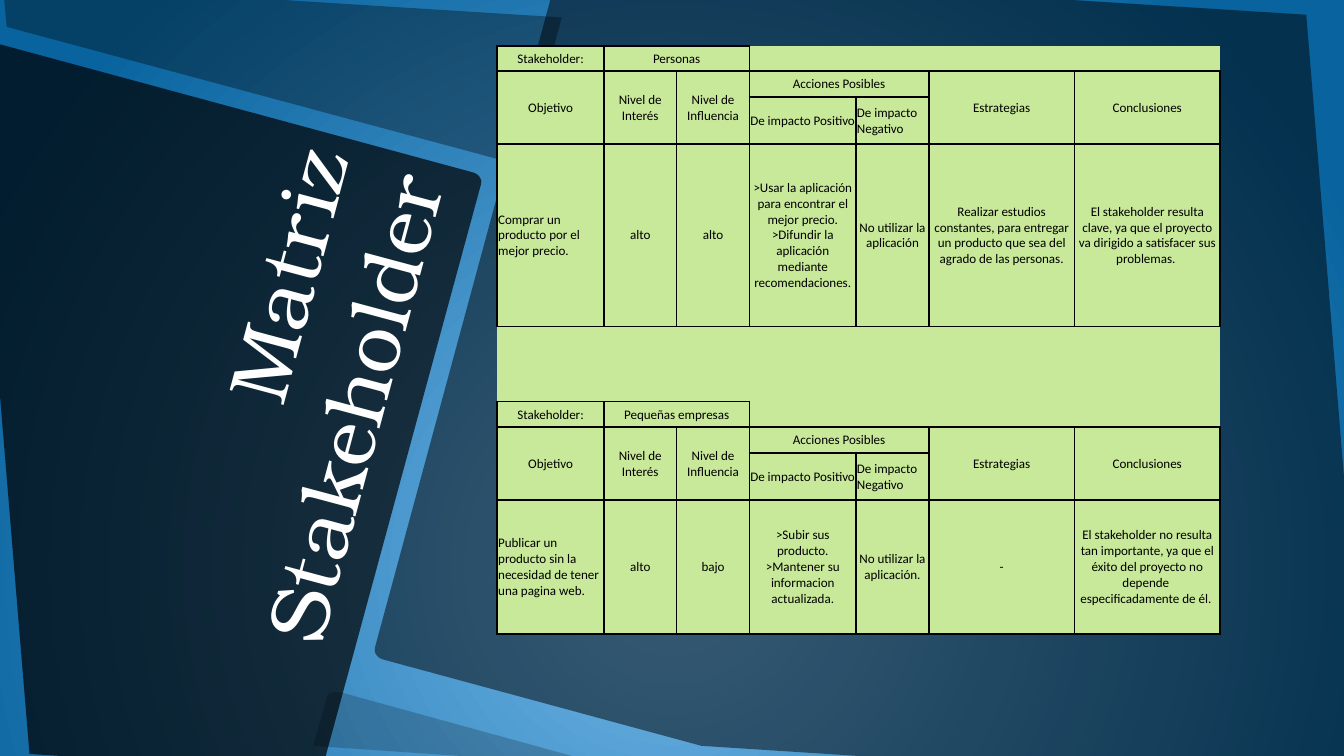
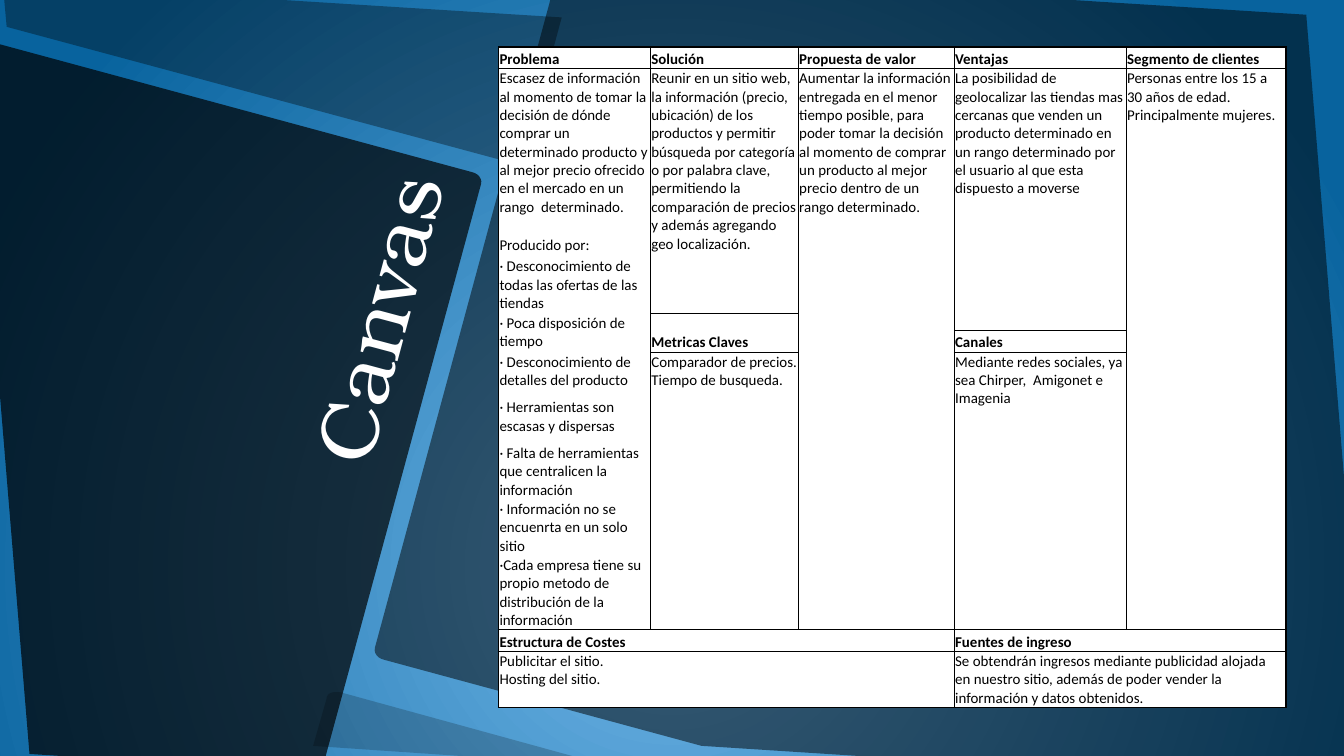
"""Build two slides, a stakeholder matrix and a lean canvas, over one shared layout."""
from typing import Any, NamedTuple

from lxml import etree
from pptx import Presentation
from pptx.dml.color import RGBColor
from pptx.enum import text
from pptx.oxml.ns import qn
from pptx.util import Inches, Pt

BLACK = RGBColor(0, 0, 0)
WHITE = RGBColor(255, 255, 255)
GREEN = RGBColor(0xC8, 0xE8, 0x9A)
SKY = RGBColor(0x70, 0xB6, 0xE8)
OCEAN = RGBColor(0x08, 0x63, 0x9E)
TITLE_FONT, TABLE_FONT = "TeX Gyre Bonum", "Calibri"
NO_STYLE = "{2D5ABB26-0587-4C30-8999-92F81FD0307C}"
LEFT, CENTER = text.PP_ALIGN.LEFT, text.PP_ALIGN.CENTER
TOP, MIDDLE, BOTTOM = text.MSO_ANCHOR.TOP, text.MSO_ANCHOR.MIDDLE, text.MSO_ANCHOR.BOTTOM


class Band(NamedTuple):
    opacity: int
    outline: list[tuple[float, ...]]


class Cell(NamedTuple):
    row: int
    col: int
    text: str
    rows: int = 1
    cols: int = 1
    align: Any = LEFT
    anchor: Any = TOP
    bold: bool = False
    sides: str = "LRTB"


class Grid(NamedTuple):
    left: float
    top: float
    width: float
    cols: list[float]
    rows: list[float]
    cells: list[Cell]
    fill: RGBColor
    size: float
    inner: float
    outer: float = 1


class Stakeholder(NamedTuple):
    name: str
    goal: str
    interest: str
    influence: str
    positive: str
    negative: str
    strategy: str
    conclusion: str


BANDS = [
    Band(70, [(-0.22, 0.27), (3.51, 1.28), (3.56, 1.29, 3.59, 1.33, 3.58, 1.37),
              (2.39, 5.75), (0.22, 5.61)]),
    Band(35, [(0.02, -0.13), (4.18, 0.13), (3.9, 1.17),
              (3.89, 1.2, 3.85, 1.22, 3.8, 1.21), (0.05, 0.2)]),
    Band(20, [(2.49, 5.15), (2.51, 5.15, 2.52, 5.15, 2.53, 5.15), (4.53, 5.7),
              (2.33, 5.55), (2.43, 5.2), (2.43, 5.17, 2.46, 5.15, 2.49, 5.15)]),
    Band(50, [(4.16, -0.24), (9.72, 0.11), (10.19, 5.87), (5.22, 5.55), (2.86, 4.91),
              (2.81, 4.9, 2.78, 4.86, 2.79, 4.82)]),
]

STAKEHOLDERS = [
    Stakeholder(
        "Personas", "Comprar un producto por el mejor precio.", "alto", "alto",
        ">Usar la aplicación para encontrar el mejor precio.\n"
        ">Difundir la aplicación mediante recomendaciones.",
        "No utilizar la aplicación",
        "Realizar estudios constantes, para entregar un producto que sea del agrado de las personas.",
        "El stakeholder resulta clave, ya que el proyecto va dirigido a satisfacer sus problemas. "),
    Stakeholder(
        "Pequeñas empresas", "Publicar un producto sin la necesidad de tener una pagina web.",
        "alto", "bajo",
        ">Subir sus producto.\n>Mantener su informacion actualizada.",
        "No utilizar la aplicación.", "-",
        "El stakeholder no resulta tan importante, ya que el éxito del proyecto no depende  "
        "especificadamente de él. "),
]

PROBLEM_ROWS = [
    (1, 1, "Escasez de información al momento de tomar la decisión de dónde comprar un determinado "
           "producto y al mejor precio ofrecido en el mercado en un rango  determinado."),
    (2, 1, "Producido por:"),
    (3, 1, "· Desconocimiento de todas las ofertas de las tiendas"),
    (4, 2, "· Poca disposición de tiempo"),
    (6, 1, "· Desconocimiento de detalles del producto"),
    (7, 1, "· Herramientas son escasas y dispersas"),
    (8, 1, "· Falta de herramientas que centralicen la información"),
    (9, 1, "· Información no se encuenrta en un solo sitio"),
    (10, 1, "·Cada empresa tiene su propio metodo de distribución de la información"),
]

CANVAS_HEADINGS = [
    (0, 0, "Problema", 1, 1), (0, 1, "Solución", 1, 1), (0, 2, "Propuesta de valor", 1, 1),
    (0, 3, "Ventajas", 1, 1), (0, 4, "Segmento de clientes", 1, 1),
    (4, 1, "Metricas Claves", 2, 1), (5, 3, "Canales", 1, 1),
    (11, 0, "Estructura de Costes", 1, 3), (11, 3, "Fuentes de ingreso", 1, 2),
]

CANVAS_BODIES = [
    Cell(1, 1, "Reunir en un sitio web, la información (precio, ubicación) de los productos y permitir "
               "búsqueda por categoría o por palabra clave, permitiendo la comparación de precios y "
               "además agregando geo localización.", 3),
    Cell(1, 2, "Aumentar la información entregada en el menor tiempo posible, para poder tomar la "
               "decisión al momento de comprar un producto al mejor precio dentro de un rango "
               "determinado.", 10),
    Cell(1, 3, "La posibilidad de geolocalizar las tiendas mas cercanas que venden un producto "
               "determinado en un rango determinado por el usuario al que esta dispuesto a moverse", 4),
    Cell(1, 4, "Personas entre los 15 a 30 años de edad. Principalmente mujeres.", 10),
    Cell(6, 1, "Comparador de precios.\nTiempo de busqueda.", 5),
    Cell(6, 3, "Mediante redes sociales, ya sea Chirper,  Amigonet e Imagenia", 5),
    Cell(12, 0, "Publicitar el sitio. \nHosting del sitio.", 1, 3),
    Cell(12, 3, "Se obtendrán ingresos mediante publicidad alojada en nuestro sitio, además de poder "
                "vender la información y datos obtenidos.", 1, 2),
]


def apply(target: Any, values: dict[str, Any]) -> None:
    """Set each named attribute of the target."""
    for name, value in values.items():
        setattr(target, name, value)


def format_runs(p: Any, font: str, size: float, color: RGBColor, bold: bool = False) -> None:
    """Format every run of a paragraph."""
    for r in p.runs:
        apply(r.font, {"name": font, "size": Pt(size), "bold": bold})
        r.font.color.rgb = color


def stakeholder_cells(top: int, who: Stakeholder) -> list[Cell]:
    """Lay out one stakeholder block from the given row down."""
    head, sub, body = top + 1, top + 2, top + 3
    centered = [
        (top, 0, "Stakeholder:", 1, 1), (top, 1, who.name, 1, 2),
        (head, 0, "Objetivo", 2, 1), (head, 1, "Nivel de Interés", 2, 1),
        (head, 2, "Nivel de Influencia", 2, 1), (head, 3, "Acciones Posibles", 1, 2),
        (head, 5, "Estrategias", 2, 2), (head, 7, "Conclusiones", 2, 2),
        (body, 1, who.interest, 1, 1), (body, 2, who.influence, 1, 1),
        (body, 3, who.positive, 1, 1), (body, 4, who.negative, 1, 1),
        (body, 5, who.strategy, 1, 2), (body, 7, who.conclusion, 1, 2),
    ]
    left = [(sub, 3, "De impacto Positivo"), (sub, 4, "De impacto Negativo"), (body, 0, who.goal)]
    return ([Cell(*c, align=CENTER, anchor=MIDDLE) for c in centered]
            + [Cell(*c, anchor=MIDDLE) for c in left])


def canvas_cells() -> list[Cell]:
    """Gather the headings, the problem column and the bodies of the canvas."""
    return ([Cell(*h, anchor=BOTTOM, bold=True) for h in CANVAS_HEADINGS]
            + [Cell(row, 0, words, rows, sides="LR") for row, rows, words in PROBLEM_ROWS]
            + CANVAS_BODIES)


def flatten(outline: list[tuple[float, ...]], steps: int = 6) -> list[tuple[int, int]]:
    """Turn points and cubic curves into a list of vertices."""
    points: list[tuple[float, ...]] = []
    for item in outline:
        if len(item) == 2:
            points.append(item)
            continue
        ends = [points[-1], item[0:2], item[2:4], item[4:6]]
        for t in (n / steps for n in range(1, steps + 1)):
            weights = ((1 - t) ** 3, 3 * t * (1 - t) ** 2, 3 * t * t * (1 - t), t ** 3)
            points.append(tuple(sum(w * e[i] for w, e in zip(weights, ends)) for i in (0, 1)))
    return [(Inches(x), Inches(y)) for x, y in points]


def add_band(s: Any, band: Band) -> Any:
    """Draw one translucent black band."""
    start, *rest = flatten(band.outline)
    builder = s.shapes.build_freeform(*start)
    builder.add_line_segments(rest, close=True)
    sp = builder.convert_to_shape()
    sp.shadow.inherit = False
    sp.fill.solid()
    sp.fill.fore_color.rgb = BLACK
    sp.line.fill.background()
    color = sp.element.find(".//" + qn("a:srgbClr"))
    etree.SubElement(color, qn("a:alpha"), val=str(band.opacity * 1000))
    return sp


def dress_layout(layout: Any, s: Any) -> None:
    """Give the layout its radial background and its bands."""
    for ph in list(layout.placeholders)[1:]:
        ph.element.getparent().remove(ph.element)
    fill = layout.background.fill
    fill.gradient()
    for stop, color, position in zip(fill.gradient_stops, (SKY, OCEAN), (0, 1)):
        stop.color.rgb = color
        stop.position = position
    grad = layout.element.find(".//" + qn("a:gradFill"))
    lin = grad.find(qn("a:lin"))
    circle = etree.Element(qn("a:path"))
    circle.set("path", "circle")
    etree.SubElement(circle, qn("a:fillToRect"), l="50000", t="50000", r="50000", b="0")
    grad.replace(lin, circle)
    for sp in [add_band(s, band) for band in BANDS]:
        layout.shapes.element.append(sp.element)


def set_title(s: Any, words: str) -> None:
    """Fill the tilted title."""
    sp = s.shapes.title
    apply(sp, {"left": Inches(0), "top": Inches(2.16), "width": Inches(4.15),
               "height": Inches(1.85), "rotation": 285})
    tf = sp.text_frame
    tf.text = words
    apply(tf, {"word_wrap": True, "auto_size": text.MSO_AUTO_SIZE.NONE, "vertical_anchor": BOTTOM})
    p = tf.paragraphs[0]
    p.alignment = text.PP_ALIGN.RIGHT
    format_runs(p, TITLE_FONT, 44, WHITE)


def add_border(cell: Any, side: str, width: float) -> None:
    """Draw one black side of a cell."""
    ln = etree.SubElement(cell._tc.get_or_add_tcPr(), qn("a:ln" + side), w=str(Pt(width)))
    fill = etree.SubElement(ln, qn("a:solidFill"))
    etree.SubElement(fill, qn("a:srgbClr"), val=str(BLACK))


def frame_cell(table: Any, grid: Grid, c: Cell) -> None:
    """Border the area a cell covers, heavier along the table's edge."""
    last_row, last_col = c.row + c.rows - 1, c.col + c.cols - 1
    edges = {"L": c.col == 0, "R": last_col == len(grid.cols) - 1,
             "T": c.row == 0, "B": last_row == len(grid.rows) - 1}
    for row in range(c.row, last_row + 1):
        for col in range(c.col, last_col + 1):
            origin = (row, col) == (c.row, c.col)
            touches = {"L": col == c.col, "R": col == last_col, "T": row == c.row, "B": row == last_row}
            for side, on_edge in edges.items():
                if side in c.sides and (origin or touches[side]):
                    add_border(table.cell(row, col), side, grid.outer if on_edge else grid.inner)


def add_grid(s: Any, grid: Grid) -> None:
    """Draw a table from its grid description."""
    frame = s.shapes.add_table(len(grid.rows), len(grid.cols), Inches(grid.left), Inches(grid.top),
                               Inches(grid.width), Inches(sum(grid.rows)))
    table = frame.table
    apply(table, {"first_row": False, "horz_banding": False})
    frame.element.find(".//" + qn("a:tableStyleId")).text = NO_STYLE
    for column, share in zip(table.columns, grid.cols):
        column.width = Inches(grid.width * share / sum(grid.cols))
    for row, height in zip(table.rows, grid.rows):
        row.height = Inches(height)
    for c in grid.cells:
        cell = table.cell(c.row, c.col)
        if c.rows * c.cols > 1:
            cell.merge(table.cell(c.row + c.rows - 1, c.col + c.cols - 1))
        p = cell.text_frame.paragraphs[0]
        p.text = c.text
        p.alignment = c.align
        format_runs(p, TABLE_FONT, grid.size, BLACK, c.bold)
        cell.vertical_anchor = c.anchor
        frame_cell(table, grid, c)
    for cell in table.iter_cells():
        apply(cell, {"margin_left": Pt(0.5), "margin_right": Pt(0.5),
                     "margin_top": Pt(0.5), "margin_bottom": 0})
        cell.fill.solid()
        cell.fill.fore_color.rgb = grid.fill
        p = cell.text_frame.paragraphs[0]
        if not p.runs:
            etree.SubElement(p._p, qn("a:endParaRPr"), sz=str(int(grid.size * 100)))


def main() -> None:
    """Build and save the presentation."""
    prs = Presentation()
    prs.slide_width, prs.slide_height = Inches(10), Inches(10 * 9 / 16)
    layout = prs.slide_layouts[5]
    matrix = Grid(3.7, 0.34, 5.38, [0.79, 0.54, 0.54, 0.79] + [0.54] * 5,
                  [0.19, 0.19, 0.35, 1.36, 0.18, 0.19, 0.19, 0.19, 0.19, 0.35, 1],
                  [c for i, who in enumerate(STAKEHOLDERS) for c in stakeholder_cells(7 * i, who)],
                  GREEN, 7, 1)
    canvas = Grid(3.71, 0.35, 5.86, [1.13, 1.1, 1.16, 1.28, 1.19],
                  [0.16, 1.24, 0.16, 0.42, 0.13, 0.16, 0.34, 0.34, 0.41, 0.41, 0.55, 0.16, 0.42],
                  canvas_cells(), WHITE, 8, 0.5)
    for i, (title, grid) in enumerate([("Matriz Stakeholder", matrix), ("Canvas", canvas)]):
        s = prs.slides.add_slide(layout)
        if i == 0:
            dress_layout(layout, s)
        set_title(s, title)
        add_grid(s, grid)
    prs.save("out.pptx")


if __name__ == "__main__":
    main()
